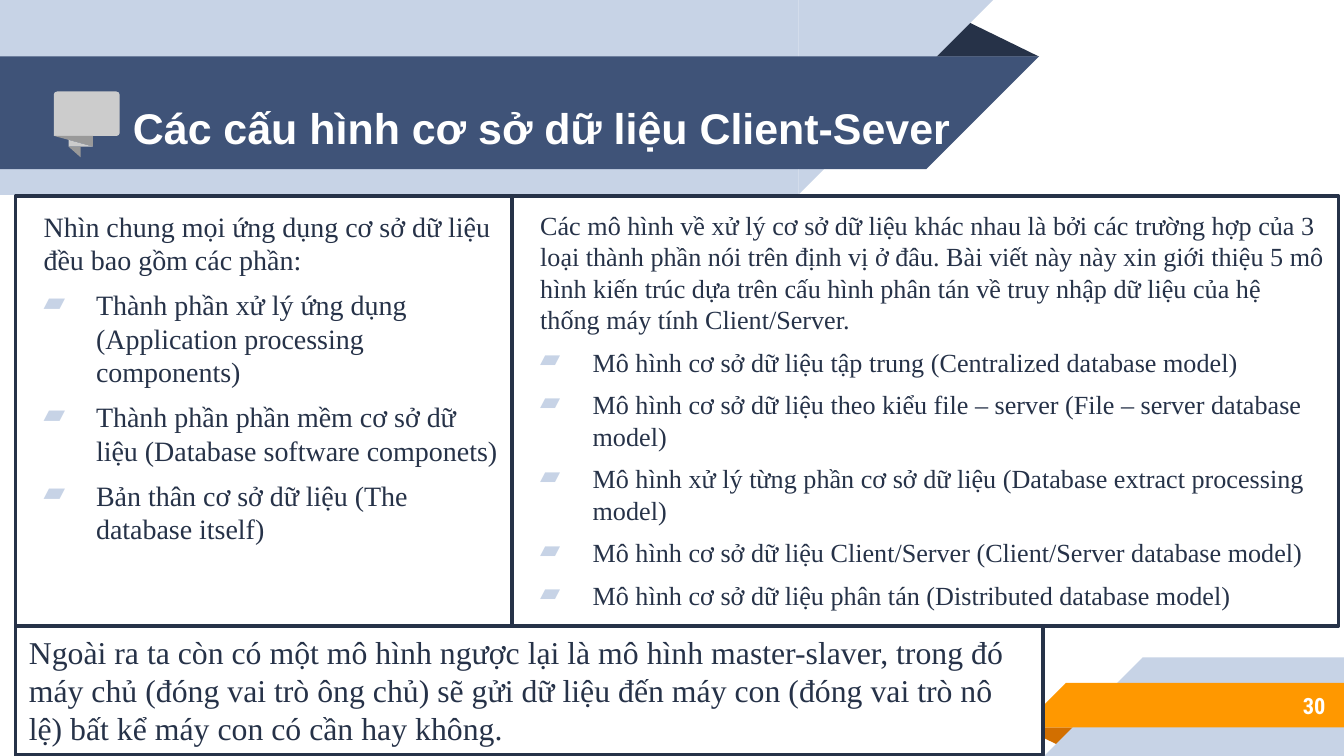
import pptx
import pptx.dml.color
import pptx.enum.shapes
import pptx.enum.text
import pptx.oxml.ns
import pptx.util
from dataclasses import dataclass
from lxml import etree

Pt = pptx.util.Pt
SHAPE = pptx.enum.shapes.MSO_SHAPE
ALIGN = pptx.enum.text.PP_ALIGN
ANCHOR = pptx.enum.text.MSO_ANCHOR


@dataclass(frozen=True)
class Theme:
    ink: str = "263248"
    navy: str = "3F5378"
    pale: str = "C7D3E6"
    orange: str = "FF9800"
    rust: str = "D26F00"
    white: str = "FFFFFF"
    silver: str = "CCCCCC"
    grey: str = "999999"
    serif: str = "Times New Roman"
    sans: str = "Arial"
    condensed: str = "Roboto Condensed"
    title_size: float = 23
    left_size: float = 15
    right_size: float = 14
    note_size: float = 17
    number_size: float = 12
    border: float = 2


T = Theme()


def rgb(value):
    return pptx.dml.color.RGBColor.from_string(value)


def apply(obj, values):
    for name, value in values.items():
        setattr(obj, name, value)


def paint(sp, fill, line=None):
    sp.shadow.inherit = False
    sp.fill.solid()
    sp.fill.fore_color.rgb = rgb(fill)
    if line:
        sp.line.color.rgb = rgb(line)
        sp.line.width = Pt(T.border)
    else:
        sp.line.fill.background()
    return sp


def add_shape(s, kind, box, fill, line=None, rotation=0):
    sp = s.shapes.add_shape(kind, *map(Pt, box))
    sp.rotation = rotation
    return paint(sp, fill, line)


def setup_frame(sp, anchor=ANCHOR.TOP, inset=7.2):
    tf = sp.text_frame
    apply(tf, dict(word_wrap=True, vertical_anchor=anchor,
                   margin_left=Pt(7.2), margin_right=Pt(7.2),
                   margin_top=Pt(inset), margin_bottom=Pt(inset)))
    return tf


def write(p, text, font, size, color, bold=False, align=ALIGN.LEFT):
    p.alignment = align
    r = p.add_run()
    r.text = text
    apply(r.font, dict(name=font, size=Pt(size), bold=bold))
    r.font.color.rgb = rgb(color)


def indent(p, left, first=0, bullet=None):
    pPr = p._p.get_or_add_pPr()
    pPr.set("marL", str(Pt(left)))
    pPr.set("indent", str(Pt(first)))
    if bullet:
        qn = pptx.oxml.ns.qn
        clr = etree.SubElement(pPr, qn("a:buClr"))
        etree.SubElement(clr, qn("a:srgbClr"), val=T.pale)
        etree.SubElement(pPr, qn("a:buChar"), char=bullet)


def band(s, box, color, slant_right):
    """A bar whose right or left end is cut at 45 degrees."""
    x, y, w, h = box
    bar_x, cut_x = (x, x + w - h) if slant_right else (x + h, x)
    add_shape(s, SHAPE.RECTANGLE, (bar_x, y, w - h, h), color)
    add_shape(s, SHAPE.RIGHT_TRIANGLE, (cut_x, y, h, h), color,
              rotation=90 if slant_right else 270)


def fold(s, box, color, rotation=0):
    sp = add_shape(s, SHAPE.ISOSCELES_TRIANGLE, box, color, rotation=rotation)
    sp.adjustments[0] = 0.324


def speech_icon(s, box):
    x, y, w, h = box
    # Outlines on a 49 by 49 grid
    parts = [
        ([(0, 33), (0, 2.5), (0.7, 0.7), (2.5, 0), (46.5, 0), (48.3, 0.7),
          (49, 2.5), (49, 31), (48.3, 32.4), (47, 33)], T.silver),
        ([(29, 41), (0, 33), (29, 33)], T.grey),
        ([(11, 41), (29, 41), (11, 36)], T.silver),
        ([(20, 49), (11, 41), (20, 41)], T.grey),
    ]
    for grid, color in parts:
        pts = [(Pt(x + a * w / 49), Pt(y + b * h / 49)) for a, b in grid]
        fb = s.shapes.build_freeform(*pts[0])
        fb.add_line_segments(pts[1:], close=True)
        paint(fb.convert_to_shape(), color)


def header(s, box, title):
    x, y, w, h = box
    fold(s, (x + w - 61.2, y + 10.1, 61.2, 20.2), T.ink)
    band(s, (x, y, w - 24.5, h), T.pale, True)
    band(s, (x, y + 30.2, w, 60.5), T.navy, True)
    tb = s.shapes.add_textbox(*map(Pt, (x + 64.1, y + 38.2, 469.4, 60.5)))
    p = setup_frame(tb, ANCHOR.MIDDLE).paragraphs[0]
    write(p, title, T.sans, T.title_size, T.white, bold=True)
    speech_icon(s, (x + 28.8, y + 49, 35.3, 35.3))


def footer(s, box, number):
    x, y, w, h = box
    fold(s, (x, y + 37.4, 31, 10.1), T.rust, 180)
    band(s, (x + 12.2, y, w - 12.2, h), T.pale, False)
    band(s, (x, y + 13.7, w, 23.8), T.orange, False)
    tb = s.shapes.add_textbox(*map(Pt, (x + w - 120.2, y + 13, 117.4, 25.2)))
    p = setup_frame(tb, ANCHOR.MIDDLE).paragraphs[0]
    write(p, number, T.condensed, T.number_size, T.white, True, ALIGN.RIGHT)


def list_panel(s, box, intro, items, size):
    sp = add_shape(s, SHAPE.RECTANGLE, box, T.white, T.ink)
    tf = setup_frame(sp)
    p = tf.paragraphs[0]
    indent(p, 7.92)
    write(p, intro, T.serif, size, T.ink)
    for item in items:
        p = tf.add_paragraph()
        indent(p, 36, -28.08, "▰")
        p.space_before = Pt(6)
        write(p, item, T.serif, size, T.ink)


def note_panel(s, box, text):
    sp = add_shape(s, SHAPE.RECTANGLE, box, T.white, T.ink)
    p = setup_frame(sp, inset=3.6).paragraphs[0]
    write(p, text, T.serif, T.note_size, T.ink)


def main():
    prs = pptx.Presentation()
    apply(prs, dict(slide_width=Pt(720), slide_height=Pt(405)))
    s = prs.slides.add_slide(prs.slide_layouts[6])

    # Ribbons and title
    header(s, (0, 0, 556.6, 104.4), "Các cấu hình cơ sở dữ liệu Client-Sever")
    footer(s, (547.2, 352.2, 172.8, 52.8), "30")

    # Two columns
    left, top, split, right, bottom = 8.4, 105, 274.4, 717.1, 335.4
    list_panel(
        s, (left, top, split - left, bottom - top),
        "Nhìn chung mọi ứng dụng cơ sở dữ liệu đều bao gồm các phần:",
        ["Thành phần xử lý ứng dụng (Application processing components)",
         "Thành phần phần mềm cơ sở dữ liệu (Database software componets)",
         "Bản thân cơ sở dữ liệu (The database itself)"],
        T.left_size)
    list_panel(
        s, (split, top, right - split, bottom - top),
        "Các mô hình về xử lý cơ sở dữ liệu khác nhau là bởi các trường hợp "
        "của 3 loại thành phần nói trên định vị ở đâu. Bài viết này này xin "
        "giới thiệu 5 mô hình kiến trúc dựa trên cấu hình phân tán về truy "
        "nhập dữ liệu của hệ thống máy tính Client/Server.",
        ["Mô hình cơ sở dữ liệu tập trung (Centralized database model)",
         "Mô hình cơ sở dữ liệu theo kiểu file – server (File – server database model)",
         "Mô hình xử lý từng phần cơ sở dữ liệu (Database extract processing model)",
         "Mô hình cơ sở dữ liệu Client/Server (Client/Server database model)",
         "Mô hình cơ sở dữ liệu phân tán (Distributed database model)"],
        T.right_size)

    # Closing note
    note_panel(
        s, (left, bottom, 550.5, 69),
        "Ngoài ra ta còn có một mô hình ngược lại là mô hình master-slaver, "
        "trong đó máy chủ (đóng vai trò ông chủ) sẽ gửi dữ liệu đến máy con "
        "(đóng vai trò nô lệ) bất kể máy con có cần hay không.")
    prs.save("out.pptx")


if __name__ == "__main__":
    main()
